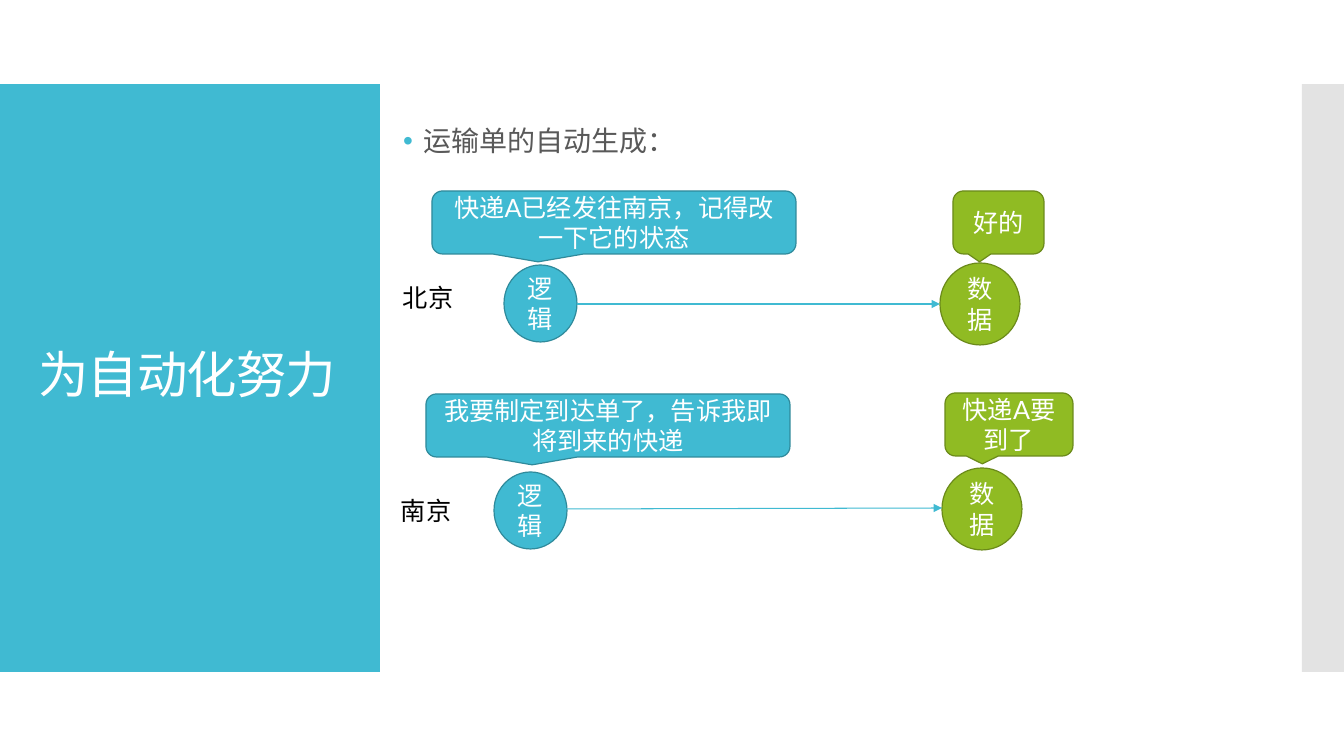
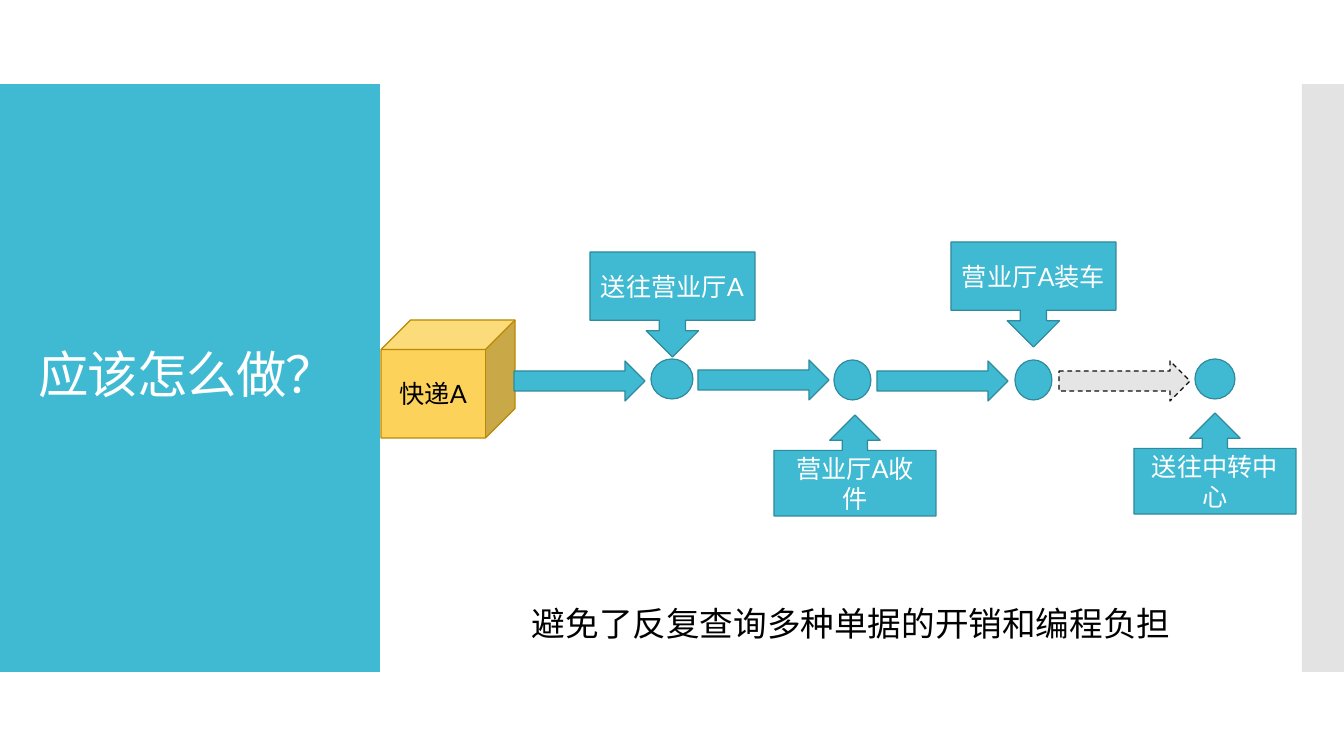
from dataclasses import dataclass
from typing import Optional

from lxml import etree
from pptx import Presentation
from pptx.dml.color import RGBColor
from pptx.enum.dml import MSO_LINE
from pptx.enum.shapes import MSO_CONNECTOR, MSO_SHAPE
from pptx.enum.text import MSO_ANCHOR, MSO_AUTO_SIZE, PP_ALIGN
from pptx.oxml.ns import qn
from pptx.util import Emu, Pt

# Scale, colours and fonts
PIXEL = 914400 / 100.8
WIDTH, HEIGHT = 1344, 756
FONT = "Lato"
WHITE = RGBColor(0xFF, 0xFF, 0xFF)
BLACK = RGBColor(0x00, 0x00, 0x00)
BODY_GREY = RGBColor(0x59, 0x59, 0x59)
BAND_GREY = RGBColor(0xC8, 0xC8, 0xC8)
TEAL = RGBColor(0x40, 0xBA, 0xD2)
DARK_TEAL = RGBColor(0x2F, 0x8A, 0x9B)
GREEN = RGBColor(0x90, 0xBB, 0x23)
DARK_GREEN = RGBColor(0x6B, 0x8A, 0x1A)
YELLOW = RGBColor(0xFC, 0xD2, 0x5A)
DARK_YELLOW = RGBColor(0xB9, 0x89, 0x00)
PALE_GREY = RGBColor(0xE5, 0xE5, 0xE5)
NEAR_BLACK = RGBColor(0x0D, 0x0D, 0x0D)

# Enum members
RECTANGLE = MSO_SHAPE.RECTANGLE
ELLIPSE = MSO_SHAPE.OVAL
SPEECH = MSO_SHAPE.ROUNDED_RECTANGULAR_CALLOUT
CUBE = MSO_SHAPE.CUBE
RIGHT_ARROW = MSO_SHAPE.RIGHT_ARROW
DOWN_CALLOUT = MSO_SHAPE.DOWN_ARROW_CALLOUT
UP_CALLOUT = MSO_SHAPE.UP_ARROW_CALLOUT
STRAIGHT = MSO_CONNECTOR.STRAIGHT
DASH = MSO_LINE.DASH
LEFT, CENTER = PP_ALIGN.LEFT, PP_ALIGN.CENTER
MIDDLE = MSO_ANCHOR.MIDDLE
NO_AUTOSIZE = MSO_AUTO_SIZE.NONE
GROW = MSO_AUTO_SIZE.SHAPE_TO_FIT_TEXT

TITLE_AND_CONTENT, TITLE_ONLY = 1, 5


@dataclass(frozen=True)
class Box:
    left: int
    top: int
    width: int
    height: int

    def emu(self) -> tuple:
        return tuple(px(v) for v in (self.left, self.top, self.width, self.height))


@dataclass(frozen=True)
class Look:
    fill: RGBColor
    line: Optional[RGBColor] = None
    text: RGBColor = WHITE
    dashed: bool = False


@dataclass(frozen=True)
class Exchange:
    """One city: its logic node asks, its data node answers."""
    city: str
    city_box: Box
    question: str
    question_box: Box
    logic_box: Box
    answer: str
    answer_box: Box
    data_box: Box
    arrow: tuple


@dataclass(frozen=True)
class Station:
    """One stop of the parcel, with the arrow leading to it."""
    arrow_box: Box
    arrow_look: Look
    node_box: Box
    callout: MSO_SHAPE
    callout_box: Box
    text: str


TEAL_LOOK = Look(TEAL, DARK_TEAL)
GREEN_LOOK = Look(GREEN, DARK_GREEN)
PARCEL_LOOK = Look(YELLOW, DARK_YELLOW, BLACK)
PENDING_LOOK = Look(PALE_GREY, NEAR_BLACK, dashed=True)

TITLE_BOX = Box(28, 124, 325, 507)
BODY_BOX = Box(393, 58, 806, 219)
SIDE_BAND = Box(0, 84, 380, 588)
EDGE_BAND = Box(1302, 84, 42, 588)

EXCHANGES = [
    Exchange("北京", Box(393, 277, 100, 40),
             "快递A已经发往南京，记得改一下它的状态", Box(432, 191, 364, 63),
             Box(504, 265, 73, 77),
             "好的", Box(953, 191, 91, 63), Box(940, 263, 80, 82),
             (577, 304, 940, 304)),
    Exchange("南京", Box(391, 490, 100, 40),
             "我要制定到达单了，告诉我即将到来的快递", Box(426, 394, 364, 63),
             Box(494, 472, 73, 77),
             "快递A要到了", Box(945, 393, 128, 63), Box(942, 468, 80, 82),
             (566, 509, 942, 508)),
]

STATIONS = [
    Station(Box(514, 361, 131, 40), TEAL_LOOK, Box(651, 359, 42, 40),
            DOWN_CALLOUT, Box(590, 252, 165, 105), "送往营业厅A"),
    Station(Box(698, 360, 131, 40), TEAL_LOOK, Box(834, 360, 37, 40),
            UP_CALLOUT, Box(774, 415, 162, 101), "营业厅A收件"),
    Station(Box(877, 361, 131, 40), TEAL_LOOK, Box(1015, 360, 37, 40),
            DOWN_CALLOUT, Box(951, 242, 165, 105), "营业厅A装车"),
    Station(Box(1059, 361, 131, 40), PENDING_LOOK, Box(1195, 359, 40, 40),
            UP_CALLOUT, Box(1134, 413, 162, 101), "送往中转中心"),
]


def px(pixels: float) -> Emu:
    return Emu(round(pixels * PIXEL))


def write(shape, text: str, size: int, color: RGBColor, align=LEFT):
    """Set one paragraph of text and return it."""
    text_frame = shape.text_frame
    text_frame.text = text
    text_frame.word_wrap = True
    paragraph = text_frame.paragraphs[0]
    paragraph.alignment = align
    font = paragraph.runs[0].font
    font.name, font.size = FONT, Pt(size)
    font.color.rgb = color
    return paragraph


def add_figure(slide, kind, box: Box, look: Look, text: str = ""):
    shape = slide.shapes.add_shape(kind, *box.emu())
    shape.shadow.inherit = False
    shape.fill.solid()
    shape.fill.fore_color.rgb = look.fill
    if look.line is None:
        shape.line.fill.background()
    else:
        shape.line.color.rgb = look.line
        shape.line.width = Pt(0.85)
    if look.dashed:
        shape.line.dash_style = DASH
    if text:
        write(shape, text, 18, look.text, CENTER)
    return shape


def add_label(slide, box: Box, text: str, size: int) -> None:
    label = slide.shapes.add_textbox(*box.emu())
    write(label, text, size, BLACK)
    label.text_frame.auto_size = GROW


def add_arrow(slide, ends: tuple) -> None:
    connector = slide.shapes.add_connector(STRAIGHT, *(px(v) for v in ends))
    connector.line.color.rgb = TEAL
    connector.line.width = Pt(0.75)
    line = connector.line._get_or_add_ln()
    etree.SubElement(line, qn("a:tailEnd"), type="triangle")
    etree.SubElement(connector.element.spPr, qn("a:effectLst"))


def place(placeholder, box: Box, text: str, size: int, color: RGBColor):
    """Move and format a placeholder, returning its paragraph."""
    (placeholder.left, placeholder.top,
     placeholder.width, placeholder.height) = box.emu()
    paragraph = write(placeholder, text, size, color)
    placeholder.text_frame.auto_size = NO_AUTOSIZE
    placeholder.text_frame.vertical_anchor = MIDDLE
    paragraph.line_spacing = 0.9
    return paragraph


def add_slide(presentation, layout: int, title: str):
    slide = presentation.slides.add_slide(presentation.slide_layouts[layout])
    paragraph = place(slide.shapes.title, TITLE_BOX, title, 36, WHITE)
    paragraph.runs[0]._r.get_or_add_rPr().set("spc", "-60")
    return slide


def add_master_bands(presentation, slide) -> None:
    """Draw both bands and move them to the back of the slide master."""
    side = add_figure(slide, RECTANGLE, SIDE_BAND, Look(TEAL))
    edge = add_figure(slide, RECTANGLE, EDGE_BAND, Look(BAND_GREY))
    color = edge.element.spPr.find(qn("a:solidFill"))[0]
    etree.SubElement(color, qn("a:alpha"), val="50000")
    master_tree = presentation.slide_master.shapes.element
    for number, band in enumerate((side, edge)):
        band.element.nvSpPr.cNvPr.set("id", str(101 + number))
        master_tree.insert(2 + number, band.element)


def add_bullet(slide, text: str) -> None:
    body = slide.placeholders[1]
    paragraph = place(body, BODY_BOX, text, 20, BODY_GREY)
    body.text_frame.margin_bottom = px(55)
    paragraph.space_before = Pt(12)
    properties = paragraph._p.get_or_add_pPr()
    properties.set("marL", str(px(20)))
    properties.set("indent", str(px(-20)))
    bullet_color = etree.SubElement(properties, qn("a:buClr"))
    etree.SubElement(bullet_color, qn("a:srgbClr"), val=str(TEAL))
    etree.SubElement(properties, qn("a:buChar"), char="•")


def add_exchange(slide, exchange: Exchange) -> None:
    add_figure(slide, ELLIPSE, exchange.logic_box, TEAL_LOOK, "逻辑")
    add_figure(slide, SPEECH, exchange.question_box, TEAL_LOOK, exchange.question)
    add_figure(slide, ELLIPSE, exchange.data_box, GREEN_LOOK, "数据")
    add_figure(slide, SPEECH, exchange.answer_box, GREEN_LOOK, exchange.answer)
    add_arrow(slide, exchange.arrow)
    add_label(slide, exchange.city_box, exchange.city, 18)


def add_station(slide, station: Station) -> None:
    add_figure(slide, ELLIPSE, station.node_box, TEAL_LOOK)
    add_figure(slide, RIGHT_ARROW, station.arrow_box, station.arrow_look)
    add_figure(slide, station.callout, station.callout_box, TEAL_LOOK, station.text)


def main() -> None:
    presentation = Presentation()
    presentation.slide_width = px(WIDTH)
    presentation.slide_height = px(HEIGHT)

    # Slide 1: automatic waybills
    waybills = add_slide(presentation, TITLE_AND_CONTENT, "为自动化努力")
    add_master_bands(presentation, waybills)
    add_bullet(waybills, "运输单的自动生成：")
    for exchange in EXCHANGES:
        add_exchange(waybills, exchange)

    # Slide 2: the route of one parcel
    route = add_slide(presentation, TITLE_ONLY, "应该怎么做？")
    add_figure(route, CUBE, Box(381, 320, 134, 118), PARCEL_LOOK, "快递A")
    for station in STATIONS:
        add_station(route, station)
    add_label(route, Box(522, 598, 668, 50), "避免了反复查询多种单据的开销和编程负担", 24)

    presentation.save("out.pptx")


main()
